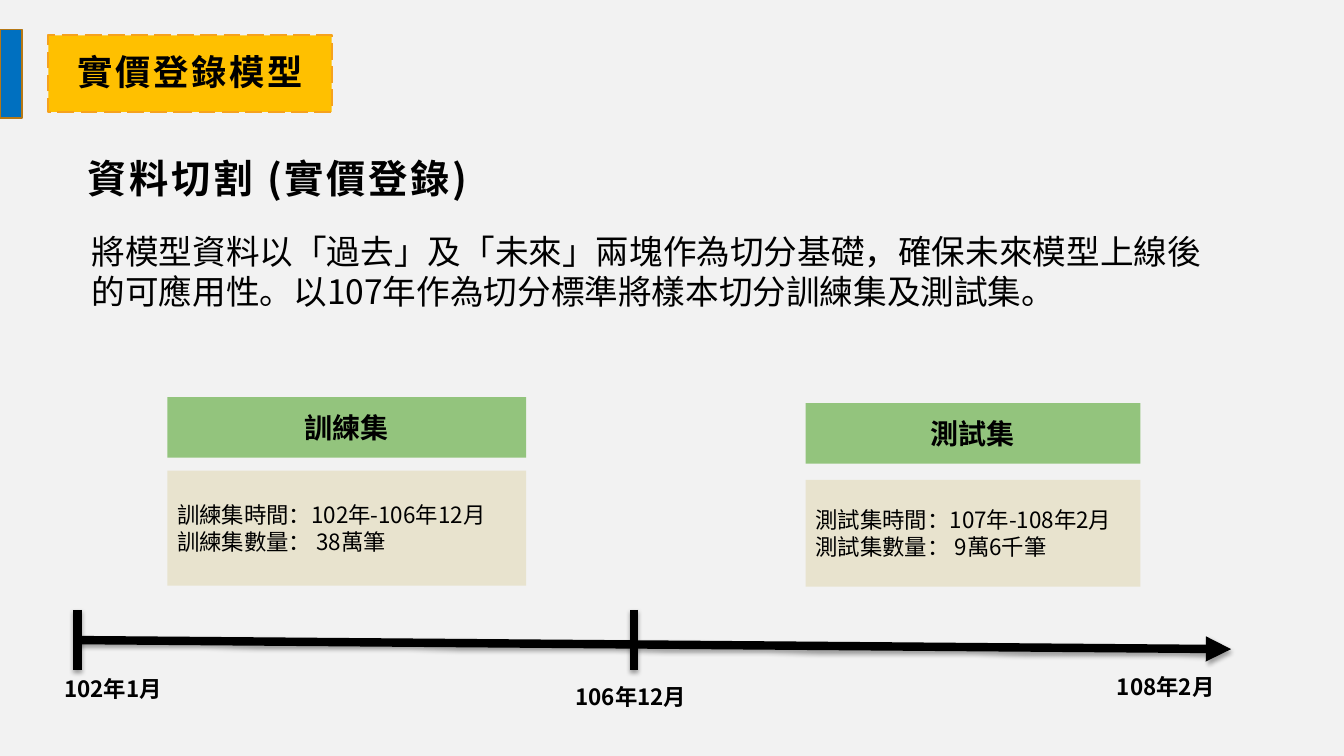
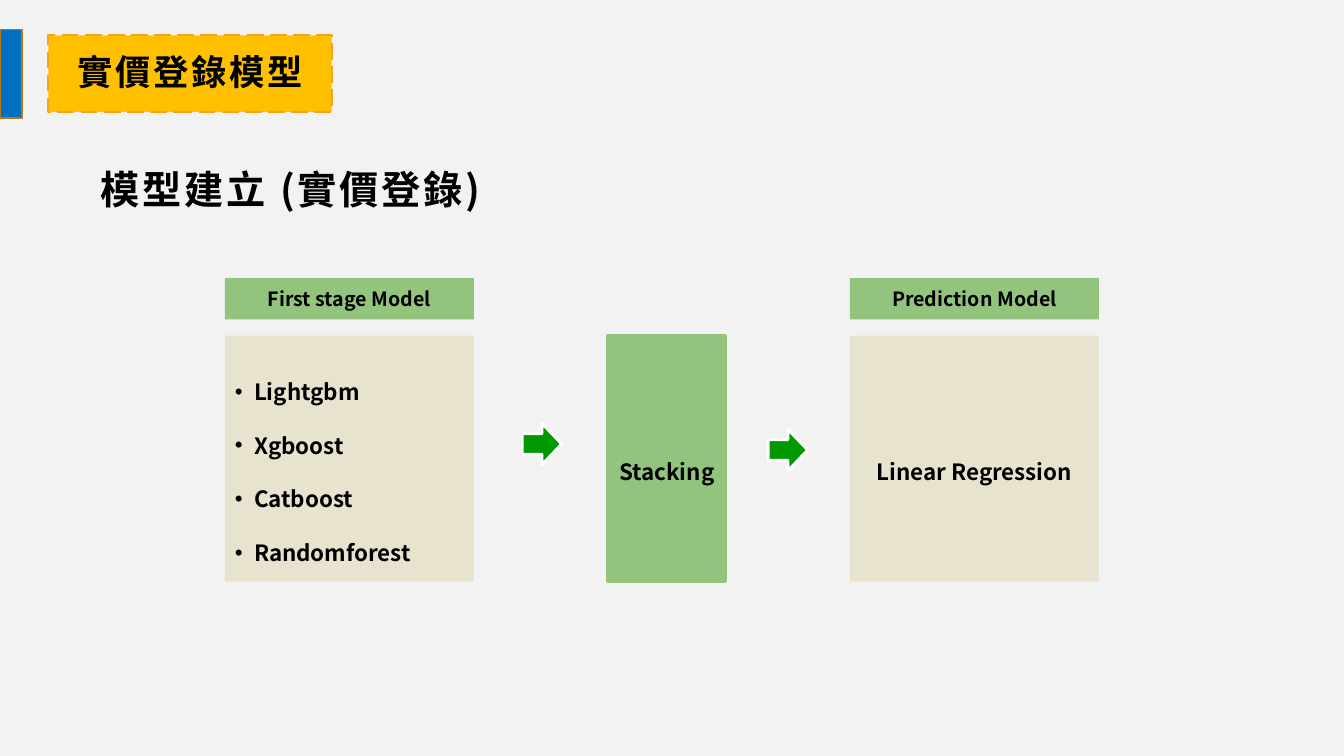
from lxml import etree
from pptx import Presentation
from pptx.dml.color import RGBColor
from pptx.enum.dml import MSO_LINE
from pptx.enum.shapes import MSO_CONNECTOR, MSO_SHAPE
from pptx.enum.text import MSO_ANCHOR, MSO_AUTO_SIZE, PP_ALIGN
from pptx.oxml.ns import qn
from pptx.util import Inches, Pt

RECT, ARROW = MSO_SHAPE.RECTANGLE, MSO_SHAPE.RIGHT_ARROW
STRAIGHT = MSO_CONNECTOR.STRAIGHT
DASH = MSO_LINE.LONG_DASH
TOP, MIDDLE = MSO_ANCHOR.TOP, MSO_ANCHOR.MIDDLE
FIXED = MSO_AUTO_SIZE.NONE
LEFT, CENTER = PP_ALIGN.LEFT, PP_ALIGN.CENTER

BLACK = RGBColor(0, 0, 0)
WHITE = RGBColor(0xFF, 0xFF, 0xFF)
PAPER = RGBColor(0xF2, 0xF2, 0xF2)
BLUE = RGBColor(0x00, 0x70, 0xC0)
BROWN = RGBColor(0xB6, 0x78, 0x15)
GOLD = RGBColor(0xFF, 0xC0, 0x00)
ORANGE = RGBColor(0xF6, 0xA2, 0x1D)
GREEN = RGBColor(0x93, 0xC4, 0x7D)
DARK = RGBColor(0x00, 0x99, 0x00)
SAND = RGBColor(0xE8, 0xE3, 0xCE)

HAN = "Noto Sans CJK TC"
SANS = "Noto Sans CJK SC"
TITLE = "實價登錄模型"


def place(shape, box):
    for name, value in zip(("left", "top", "width", "height"), box):
        setattr(shape, name, Inches(value))


def paint(shape, fill, line=None, weight=1, dash=None):
    shape.fill.solid()
    shape.fill.fore_color.rgb = fill
    if line is None:
        shape.line.fill.background()
        return
    shape.line.color.rgb = line
    shape.line.width = Pt(weight)
    if dash is not None:
        shape.line.dash_style = dash


def add_run(para, text, face, size, bold, track):
    run = para.add_run()
    run.text = text
    style = {"name": face, "size": Pt(size), "bold": bold}
    for name, value in style.items():
        setattr(run.font, name, value)
    run.font.color.rgb = BLACK
    props = run.font._element
    if track:
        props.set("spc", str(track * 100))
    etree.SubElement(props, qn("a:ea"), typeface=face if face == SANS else HAN)


def set_mark(para, bullet):
    props = para._p.get_or_add_pPr()
    indent = Inches(0.19) if bullet else 0
    props.set("marL", str(indent))
    props.set("indent", str(-indent))
    if bullet:
        etree.SubElement(props, qn("a:buFont"), typeface="Arial")
        etree.SubElement(props, qn("a:buChar"), char="•")
    else:
        etree.SubElement(props, qn("a:buNone"))


def write(shape, lines, size, face=HAN, bold=True, align=LEFT, anchor=MIDDLE,
          space=1.0, pad=(0.1, 0.1), track=0, bullet=False):
    frame = shape.text_frame
    side, edge = map(Inches, pad)
    style = {"word_wrap": True, "auto_size": FIXED, "vertical_anchor": anchor,
             "margin_left": side, "margin_right": side,
             "margin_top": edge, "margin_bottom": edge}
    for name, value in style.items():
        setattr(frame, name, value)
    for num, line in enumerate(lines):
        para = frame.add_paragraph() if num else frame.paragraphs[0]
        look = {"alignment": align, "line_spacing": space,
                "space_before": Pt(0), "space_after": Pt(0)}
        for name, value in look.items():
            setattr(para, name, value)
        set_mark(para, bullet)
        runs = [(line, face)] if isinstance(line, str) else line
        for text, font in runs:
            add_run(para, text, font, size, bold, track)


def add_box(slide, box, fill, kind=RECT, **edge):
    shape = slide.shapes.add_shape(kind, *map(Inches, box))
    shape.shadow.inherit = False
    paint(shape, fill, **edge)
    return shape


def add_note(slide, box, lines, size, **style):
    note = slide.shapes.add_textbox(*map(Inches, box))
    write(note, lines, size, anchor=TOP, **style)


def add_line(slide, start, end, head=False):
    line = slide.shapes.add_connector(STRAIGHT, *map(Inches, start + end))
    line.line.color.rgb = BLACK
    line.line.width = Pt(6)
    if head:
        etree.SubElement(line.line._get_or_add_ln(), qn("a:tailEnd"), type="triangle")
    effect = etree.SubElement(line._element.spPr, qn("a:effectLst"))
    shade = etree.SubElement(effect, qn("a:outerShdw"), blurRad="40000",
                             dist="22000", dir="5400000", rotWithShape="0")
    tint = etree.SubElement(shade, qn("a:srgbClr"), val=str(BLACK))
    etree.SubElement(tint, qn("a:alpha"), val="35000")


def start_slide(deck, topic, left, top):
    slide = deck.slides.add_slide(deck.slide_layouts[1])
    add_box(slide, (0, 0.29, 0.22, 0.88), BLUE, line=BROWN)
    title = slide.shapes.title
    place(title, (0.48, 0.35, 2.81, 0.76))
    paint(title, GOLD, ORANGE, 1.5, DASH)
    write(title, [TITLE], 25.2, face="Calibri", align=CENTER, space=0.9,
          pad=(0.2, 0.2), track=2)
    heading = [(topic + " ", "Roboto Condensed"), ("(實價登錄)", HAN)]
    add_note(slide, (left, top, 9.32, 0.63), [heading], 28, track=2)
    return slide, slide.placeholders[1]


def add_set(slide, box, gap, name, lines):
    left, top, width, height = box
    head = add_box(slide, (left, top, width, 0.6), GREEN)
    write(head, [name], 20, face="Arial", align=CENTER)
    skip = 0.6 + gap
    card = add_box(slide, (left, top + skip, width, height - skip), SAND)
    write(card, lines, 16, bold=False)


def add_axis(slide, left, top, width):
    add_line(slide, (left, top), (left + width, top + 0.09), head=True)
    for shift in (0, 5.52):
        add_line(slide, (left + shift, top - 0.3), (left + shift, top + 0.3))
    for shift, drop, date in ((-0.23, 0.3, "102年1月"),
                              (4.84, 0.38, "106年12月"),
                              (10.21, 0.28, "108年2月")):
        add_note(slide, (left + shift, top + drop, 1.35, 0.7), [date], 16,
                 pad=(0.1, 0.05))


def add_stage(slide, box, name, lines, card=None, **style):
    left, top, width, height = box
    head = add_box(slide, (left, top, width, 0.41), GREEN)
    write(head, [name], 14, align=CENTER)
    area = (left, top + 0.57, width, height - 0.57)
    if card is None:
        card = add_box(slide, area, SAND)
    else:
        place(card, area)
        paint(card, SAND)
    write(card, lines, 16, space=2.0, **style)


def split_slide(deck):
    slide, body = start_slide(deck, "資料切割", 0.77, 1.43)
    place(body, (0.81, 2.24, 11.53, 0.91))
    write(body, ["將模型資料以「過去」及「未來」兩塊作為切分基礎，確保未來模型上線後的可應用性。"
                 "以107年作為切分標準將樣本切分訓練集及測試集。"],
          24, face=SANS, bold=False, anchor=TOP, pad=(0.1, 0.05))
    add_set(slide, (1.66, 3.94, 3.56, 1.87), 0.13, "訓練集",
            ["訓練集時間：102年-106年12月", "訓練集數量： 38萬筆"])
    add_set(slide, (7.99, 4, 3.32, 1.82), 0.16, "測試集",
            ["測試集時間：107年-108年2月", "測試集數量： 9萬6千筆"])
    add_axis(slide, 0.77, 6.35, 11.44)


def model_slide(deck):
    slide, body = start_slide(deck, "模型建立", 0.9, 1.54)
    add_stage(slide, (2.23, 2.76, 2.47, 3.01), "First stage Model",
              ["Lightgbm", "Xgboost", "Catboost", "Randomforest"], body, bullet=True)
    add_stage(slide, (8.43, 2.76, 2.47, 3.01), "Prediction Model",
              ["Linear Regression"], align=CENTER)
    stack = add_box(slide, (6.03, 3.33, 1.17, 2.44), GREEN, line=GREEN, weight=2.25)
    write(stack, ["Stacking"], 16, align=CENTER, space=2.0)
    for left, top in ((5.18, 4.2), (7.62, 4.26)):
        add_box(slide, (left, top, 0.39, 0.41), DARK, ARROW, line=WHITE, weight=2)


def main():
    deck = Presentation()
    deck.slide_width, deck.slide_height = Inches(13.33), Inches(7.5)
    back = deck.slide_master.background.fill
    back.solid()
    back.fore_color.rgb = PAPER
    split_slide(deck)
    model_slide(deck)
    deck.save("out.pptx")


if __name__ == "__main__":
    main()
